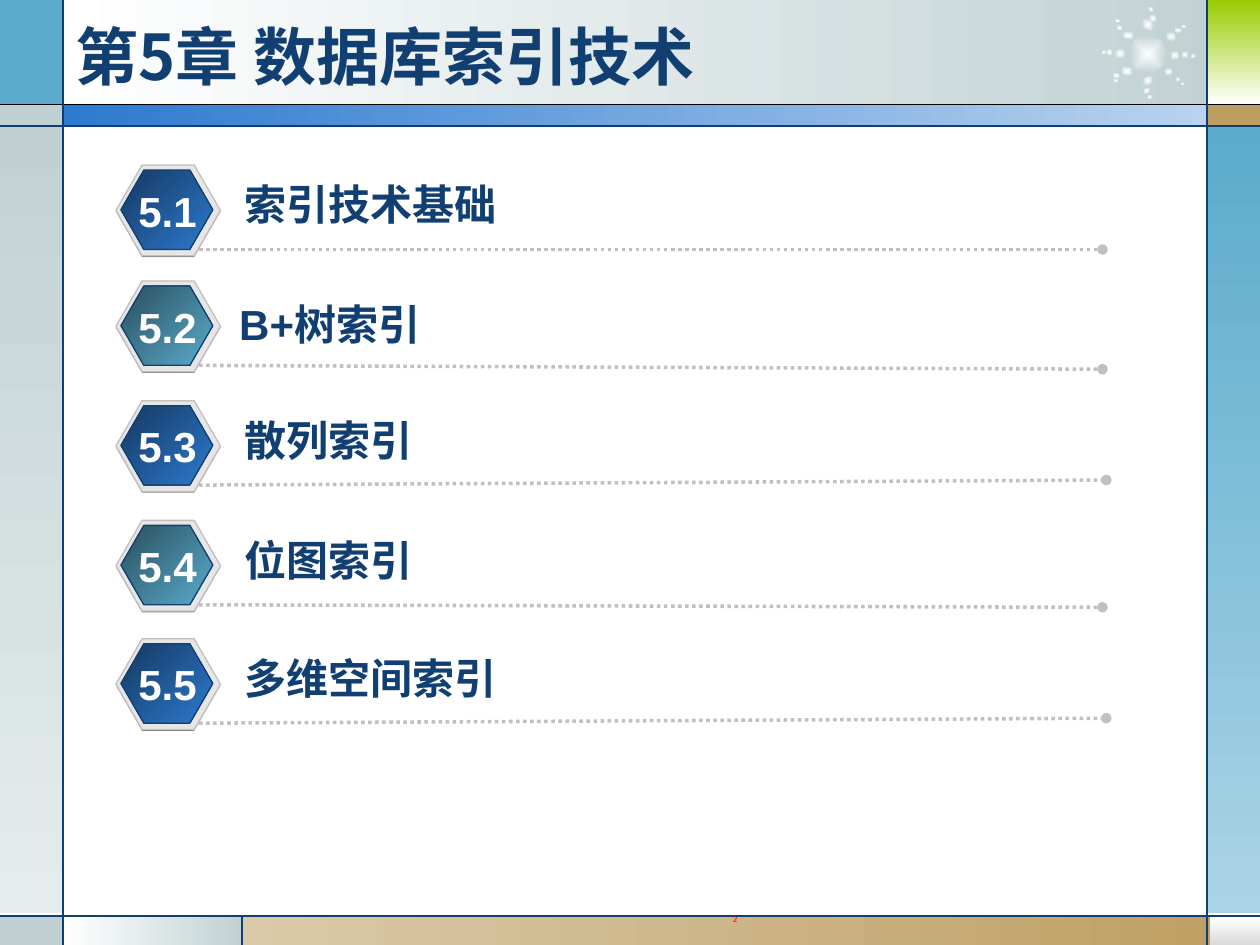
from pptx import Presentation
from pptx.dml.color import RGBColor
from pptx.enum.dml import MSO_LINE
from pptx.enum.shapes import MSO_CONNECTOR, MSO_SHAPE
from pptx.enum.text import MSO_ANCHOR, MSO_AUTO_SIZE, PP_ALIGN
from pptx.oxml import parse_xml
from pptx.oxml.ns import nsdecls, qn
from pptx.util import Inches, Pt

RECT, OVAL, HEX = MSO_SHAPE.RECTANGLE, MSO_SHAPE.OVAL, MSO_SHAPE.HEXAGON
STRAIGHT, DOTS = MSO_CONNECTOR.STRAIGHT, MSO_LINE.ROUND_DOT
LEFT, CENTER, MIDDLE = PP_ALIGN.LEFT, PP_ALIGN.CENTER, MSO_ANCHOR.MIDDLE
GROW, FIXED = MSO_AUTO_SIZE.SHAPE_TO_FIT_TEXT, MSO_AUTO_SIZE.NONE

CJK = "Noto Sans CJK SC"
NAVY, BLUE, TEAL, MIST, SAND = "113F71", "2D7ACF", "5AABCC", "C1D1D3", "BD9E61"
WHITE, SILVER = "FFFFFF", "C0C0C0"
BADGES = [("153860", BLUE, 45), ("2A4F5E", TEAL, 45)]

PANELS = [
    (0.5, 0, 9.27, 0.84, (WHITE, MIST, 0)),
    (0, 0, 0.5, 0.84, TEAL),
    (0, 0.83, 0.5, 0.17, MIST),
    (0, 1, 0.5, 6.25, (MIST, "E5ECEC", 90)),
    (0, 7.28, 0.5, 0.23, MIST),
    (0.5, 7.27, 1.43, 0.24, (WHITE, MIST, 0)),
    (1.92, 7.27, 8.08, 0.24, ("DBCAA9", SAND, 0)),
    (9.6, 7.28, 0.4, 0.23, (WHITE, "D8D8D8", 90)),
    (9.58, 1, 0.42, 6.25, (TEAL, "AAD4E5", 90)),
    (9.58, 0.83, 0.42, 0.17, SAND),
    (9.59, 0, 0.41, 0.83, ("99CC00", WHITE, 90)),
    (0.5, 0.83, 9.09, 0.17, (BLUE, "B9D3EF", 0)),
]
RULES = [
    (0, 0.83, 10, 0.83, "000000"),
    (0, 1, 10, 1, NAVY),
    (0, 7.27, 10, 7.27, NAVY),
    (0.5, 0, 0.5, 7.5, NAVY),
    (9.58, 0, 9.58, 7.5, NAVY),
    (1.92, 7.27, 1.92, 7.5, NAVY),
]
RAYS = [
    (2.5, [(8.96, 0.28, 0.3, 0.3)]),
    (5.6, [(9.33, 0.61, 0.04, 0.04), (9.37, 0.65, 0.03, 0.03), (9.24, 0.54, 0.07, 0.06)]),
    (324.9, [(9.38, 0.41, 0.05, 0.05), (9.45, 0.43, 0.04, 0.03), (9.29, 0.41, 0.07, 0.06)]),
    (282.6, [(9.33, 0.21, 0.04, 0.06), (9.38, 0.19, 0.03, 0.04), (9.26, 0.25, 0.07, 0.08)]),
    (48.5, [(9.08, 0.69, 0.04, 0.06), (9.11, 0.75, 0.03, 0.04), (9.08, 0.6, 0.06, 0.08)]),
    (228.5, [(9.12, 0.12, 0.06, 0.05), (9.11, 0.06, 0.05, 0.03), (9.06, 0.16, 0.1, 0.07)]),
    (192.2, [(8.86, 0.2, 0.05, 0.04), (8.85, 0.15, 0.04, 0.03), (8.91, 0.25, 0.09, 0.06)]),
    (148.1, [(8.78, 0.39, 0.05, 0.05), (8.74, 0.4, 0.04, 0.03), (8.85, 0.39, 0.08, 0.07)]),
    (109.3, [(8.84, 0.57, 0.04, 0.06), (8.84, 0.62, 0.03, 0.04), (8.91, 0.52, 0.07, 0.09)]),
]
TOPICS = [
    ("索引技术基础", 1.31, 1.84, 1.37, 2.2, 8.75, 1.98),
    ("B+树索引", 2.23, 1.8, 2.32, 1.85, 8.75, 2.93),
    ("散列索引", 3.18, 1.84, 3.24, 1.53, 8.78, 3.81),
    ("位图索引", 4.13, 1.84, 4.19, 1.53, 8.75, 4.82),
    ("多维空间索引", 5.07, 1.84, 5.13, 2.2, 8.78, 5.7),
]


def color(code):
    return RGBColor.from_string(code)


def place(box):
    return [Inches(value) for value in box]


def paint(fill, tone):
    if isinstance(tone, str):
        fill.solid()
        fill.fore_color.rgb = color(tone)
        return
    start, end, angle = tone
    fill.gradient()
    fill.gradient_angle = -angle % 360
    for stop, code in zip(fill.gradient_stops, (start, end)):
        stop.color.rgb = color(code)


def add_form(shapes, kind, box, tone, edge=None):
    form = shapes.add_shape(kind, *place(box))
    form.shadow.inherit = False
    paint(form.fill, tone)
    if edge:
        form.line.color.rgb = color(edge)
        form.line.width = Pt(0.75)
    else:
        form.line.fill.background()
    return form


def add_line(shapes, ends, code, width=0.75, dotted=False):
    line = shapes.add_connector(STRAIGHT, *place(ends))
    line.line.color.rgb = color(code)
    line.line.width = Pt(width)
    if dotted:
        line.line.dash_style = DOTS
        tail = parse_xml(f'<a:tailEnd {nsdecls("a")} type="oval"/>')
        line.line._get_or_add_ln().append(tail)
    line._element.spPr.append(parse_xml(f'<a:effectLst {nsdecls("a")}/>'))


def write(frame, text, size=24, face="Arial", code=NAVY, bold=True,
          align=LEFT, wrap=False, fit=GROW, space=None):
    frame.word_wrap = wrap
    frame.auto_size = fit
    para = frame.paragraphs[0]
    para.alignment = align
    para.line_spacing = space
    run = para.add_run()
    run.text = text
    run.font.name = face
    run.font.size = Pt(size)
    run.font.bold = bold
    run.font.color.rgb = color(code)
    east = parse_xml(f'<a:ea {nsdecls("a")} typeface="{CJK}"/>')
    run.font._element.find(qn("a:latin")).addnext(east)


def add_text(shapes, box, text, **style):
    write(shapes.add_textbox(*place(box)).text_frame, text, **style)


def add_burst(shapes):
    group = shapes.add_group_shape().shapes
    for turn, dots in RAYS:
        for box in dots:
            dot = add_form(group, OVAL, box, (WHITE, MIST, 0))
            dot.rotation = turn
            linear = dot._element.spPr.find(".//" + qn("a:lin"))
            radial = parse_xml(
                f'<a:path {nsdecls("a")} path="rect">'
                '<a:fillToRect l="50000" t="50000" r="50000" b="50000"/></a:path>')
            linear.getparent().replace(linear, radial)


def add_badge(shapes, top, tone):
    group = shapes.add_group_shape().shapes
    layers = [
        ((0.92, top + 0.01, 0.83, 0.72), "808080", None),
        ((0.92, top, 0.83, 0.72), "E6E6E6", SILVER),
        ((0.96, top + 0.04, 0.73, 0.63), tone, NAVY),
    ]
    for box, fill, edge in layers:
        form = add_form(group, HEX, box, fill, edge)
        form.adjustments[0] = 0.289
        form.adjustments[1] = 1.155


def add_topic(shapes, index, topic):
    label, top, left, high, width, right, end = topic
    add_badge(shapes, top, BADGES[index % 2])
    add_line(shapes, (1.58, top + 0.67, right, end), SILVER, 2, True)
    add_text(shapes, (left, high, width, 0.5), label, wrap=True)
    add_text(shapes, (1, top + 0.11, 0.66, 0.5), f"5.{index + 1}",
             code=WHITE, align=CENTER)


def add_title(slide, text):
    title = slide.shapes.title
    title.left, title.top, title.width, title.height = place((0.5, 0.13, 8.92, 0.62))
    slide.shapes._spTree.append(title._element)
    title.text_frame.vertical_anchor = MIDDLE
    write(title.text_frame, text, size=36, face=CJK, wrap=True, fit=FIXED)


def main():
    deck = Presentation()
    deck.slide_width, deck.slide_height = place((10, 7.5))
    slide = deck.slides.add_slide(deck.slide_layouts[5])
    shapes = slide.shapes
    for *box, tone in PANELS:
        add_form(shapes, RECT, box, tone)
    add_burst(shapes)
    for *ends, code in RULES:
        add_line(shapes, ends, code)
    add_text(shapes, (4.67, 7.23, 2.33, 0.19), "2", size=4.3, face="DejaVu Sans",
             code="FF0000", bold=False, align=CENTER, wrap=True, fit=FIXED, space=0.8)
    add_title(slide, "第5章 数据库索引技术")
    for index, topic in enumerate(TOPICS):
        add_topic(shapes, index, topic)
    deck.save("out.pptx")


if __name__ == "__main__":
    main()
